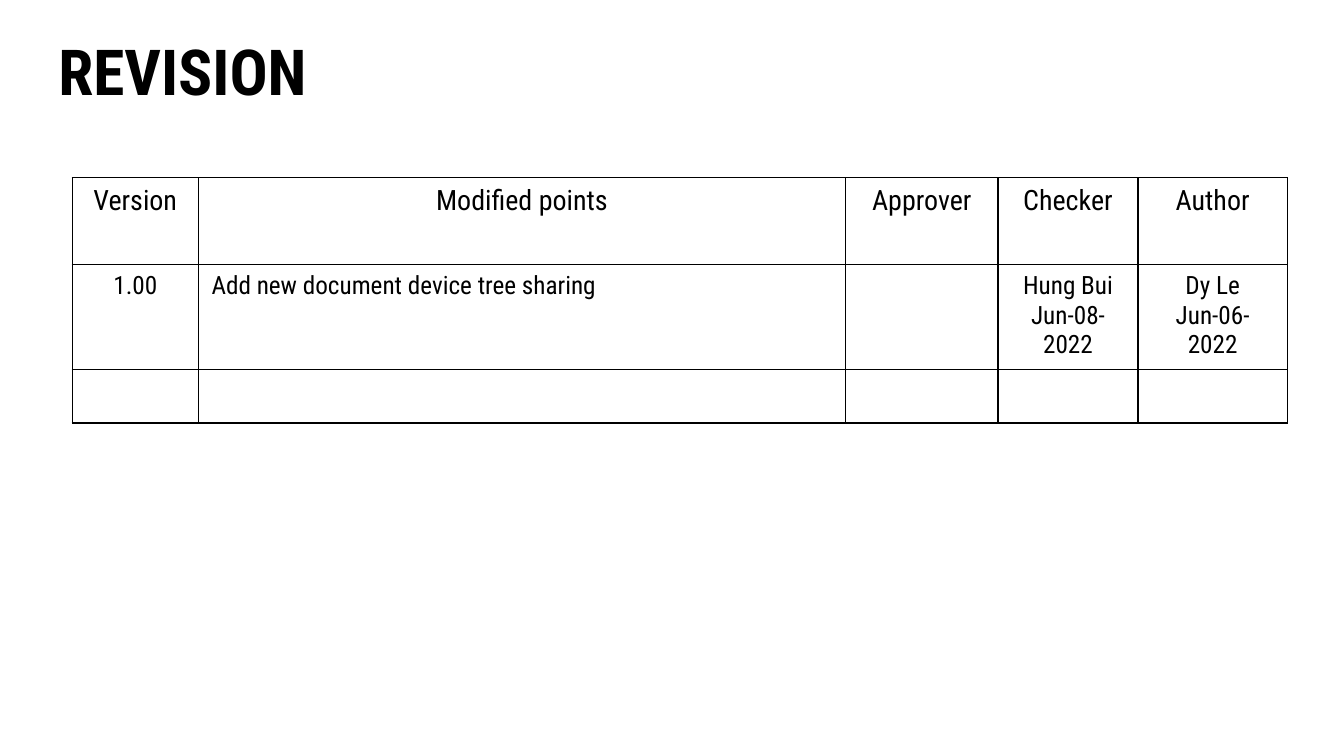
from dataclasses import dataclass

from lxml.etree import SubElement
from pptx import Presentation
from pptx.dml.color import RGBColor
from pptx.enum.text import MSO_ANCHOR, PP_ALIGN
from pptx.oxml.ns import qn
from pptx.table import _Cell
from pptx.text.text import _Paragraph
from pptx.util import Cm, Pt

BLACK = RGBColor(0x00, 0x00, 0x00)
FONT = "Roboto Condensed"


@dataclass
class Column:
    heading: str
    width: float
    entry: str = ""
    entry_align: PP_ALIGN = PP_ALIGN.CENTER


@dataclass
class Row:
    height: float
    size: float


# "\v" is a line break within a paragraph
COLUMNS = [
    Column("Version", 3.18, "1.00"),
    Column("Modified points", 16.31, "Add new document device tree sharing", PP_ALIGN.LEFT),
    Column("Approver", 3.84),
    Column("Checker", 3.53, "Hung Bui\vJun-08-2022"),
    Column("Author", 3.76, "Dy Le\vJun-06-2022"),
]
ROWS = [Row(2.18, 20), Row(2.57, 18), Row(1.35, 18)]


def style_font(para: _Paragraph, size: float, bold: bool = False) -> None:
    para.font.name = FONT
    para.font.size = Pt(size)
    para.font.bold = bold
    para.font.color.rgb = BLACK


def add_borders(cell: _Cell) -> None:
    properties = cell._tc.get_or_add_tcPr()
    for side in ("a:lnL", "a:lnR", "a:lnT", "a:lnB"):
        line = SubElement(properties, qn(side), w=str(Pt(1)))
        fill = SubElement(line, qn("a:solidFill"))
        SubElement(fill, qn("a:srgbClr"), val=str(BLACK))


def fill_cell(cell: _Cell, text: str, size: float, align: PP_ALIGN) -> None:
    add_borders(cell)
    cell.fill.background()
    cell.margin_left = cell.margin_right = Cm(0.33)
    cell.margin_top = cell.margin_bottom = Cm(0.18)
    para = cell.text_frame.paragraphs[0]
    para.text = text
    para.alignment = align
    style_font(para, size)


def main() -> None:
    deck = Presentation()
    deck.slide_width, deck.slide_height = Cm(33.87), Cm(19.05)
    page = deck.slides.add_slide(deck.slide_layouts[6])

    # Title
    box = page.shapes.add_textbox(Cm(1.22), Cm(0.71), Cm(31.42), Cm(2.34))
    box.text_frame.word_wrap = True
    box.text_frame.vertical_anchor = MSO_ANCHOR.MIDDLE
    para = box.text_frame.paragraphs[0]
    para.text = "REVISION"
    para.line_spacing = 0.9
    style_font(para, 45.3, bold=True)

    # Revision table
    width = sum(column.width for column in COLUMNS)
    height = sum(row.height for row in ROWS)
    table = page.shapes.add_table(
        len(ROWS), len(COLUMNS), Cm(1.82), Cm(4.48), Cm(width), Cm(height)
    ).table
    table.first_row = table.horz_banding = False
    for index, row in enumerate(ROWS):
        table.rows[index].height = Cm(row.height)
    for index, column in enumerate(COLUMNS):
        table.columns[index].width = Cm(column.width)
        texts = (column.heading, column.entry, "")
        aligns = (PP_ALIGN.CENTER, column.entry_align, PP_ALIGN.LEFT)
        for number, (row, text, align) in enumerate(zip(ROWS, texts, aligns)):
            fill_cell(table.cell(number, index), text, row.size, align)

    deck.save("out.pptx")


if __name__ == "__main__":
    main()
